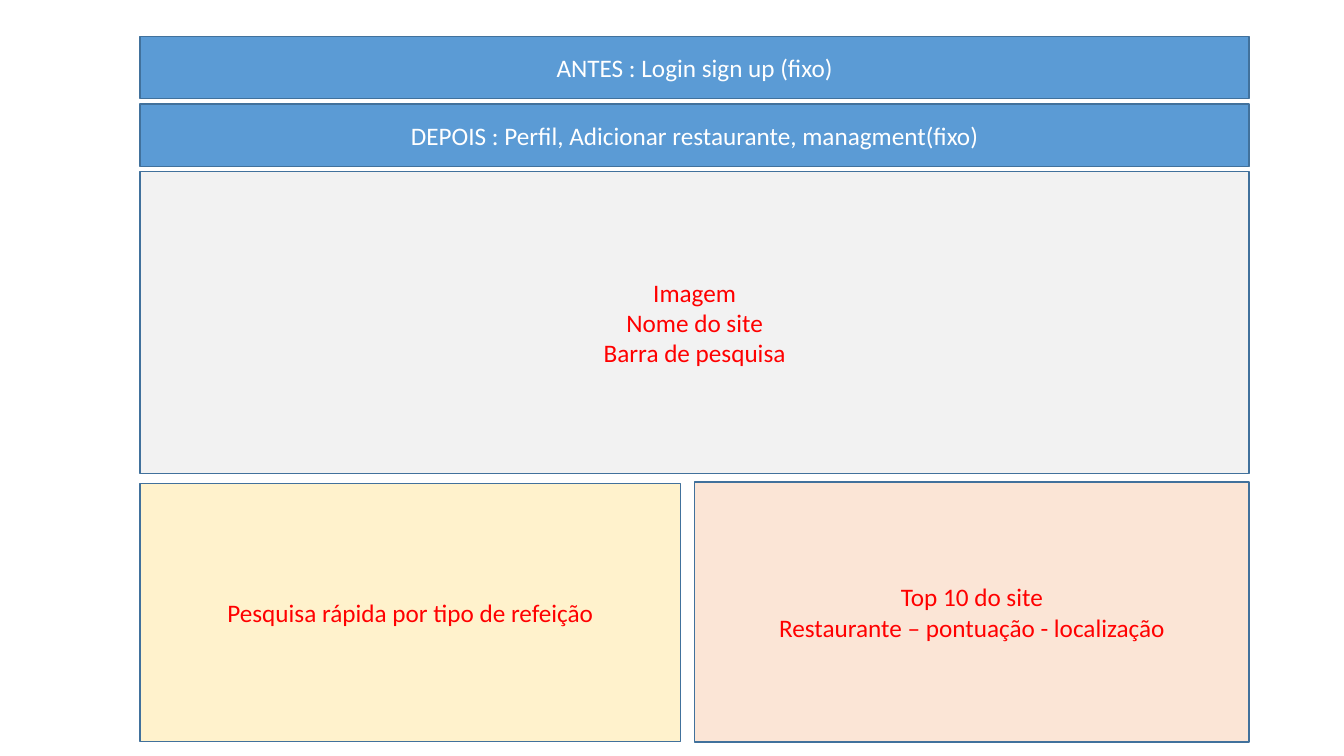
from pptx import Presentation
from pptx.dml.color import RGBColor
from pptx.enum.shapes import MSO_SHAPE as Preset
from pptx.enum.text import MSO_ANCHOR as Anchor, PP_ALIGN as Align
from pptx.util import Inches, Pt

# Grid: 11 columns and 7 rows of one inch, set in from the slide's corner
GRID_LEFT, GRID_TOP = 1.39, 0.36
COLUMNS, ROWS = 11, 7
GUTTER = 0.14
BAR_HEIGHT, BAR_STEP = 0.62, 0.67
HERO_HEIGHT = 3


def color(hex_value):
    return RGBColor.from_string(hex_value)


def write(frame, text, *, size=18, font="Calibri", ink="FF0000", align=Align.CENTER):
    """Fill a text frame, one paragraph per line of text."""
    frame.word_wrap = True
    frame.vertical_anchor = Anchor.MIDDLE
    frame.text = text
    for paragraph in frame.paragraphs:
        paragraph.alignment = align
        paragraph.font.size = Pt(size)
        paragraph.font.name = font
        paragraph.font.color.rgb = color(ink)


class Wireframe:
    """Page sketch: the shared style and the current slide."""

    border, border_width = "41719C", 1
    bar_fill, bar_ink = "5B9BD5", "FFFFFF"

    def __init__(self, slide):
        self.slide = slide

    def block(self, text, column, row, columns, rows, fill, **text_format):
        area = self.slide.shapes.add_shape(
            Preset.RECTANGLE, Inches(GRID_LEFT + column), Inches(GRID_TOP + row),
            Inches(columns), Inches(rows))
        area.shadow.inherit = False
        area.fill.solid()
        area.fill.fore_color.rgb = color(fill)
        area.line.color.rgb = color(self.border)
        area.line.width = Pt(self.border_width)
        write(area.text_frame, text, **text_format)

    def bar(self, text, position):
        self.block(text, 0, position * BAR_STEP, COLUMNS, BAR_HEIGHT,
                   self.bar_fill, ink=self.bar_ink)


def main():
    deck = Presentation()
    deck.slide_width, deck.slide_height = Inches(13.33), Inches(7.5)
    page = Wireframe(deck.slides.add_slide(deck.slide_layouts[6]))

    # Fixed navigation bars, before and after login
    navigation = ["ANTES : Login sign up (fixo)",
                  "DEPOIS : Perfil, Adicionar restaurante, managment(fixo)"]
    for position, label in enumerate(navigation):
        page.bar(label, position)

    # Main banner with the search bar
    page.block("Imagem\nNome do site\nBarra de pesquisa",
               0, len(navigation) * BAR_STEP, COLUMNS, HERO_HEIGHT, "F2F2F2")

    # Lower half: quick search and ranking, both ending on the last row
    half = COLUMNS / 2
    search_row, ranking_row = 4.44, 4.42
    page.block("Pesquisa rápida por tipo de refeição",
               0, search_row, half - GUTTER, ROWS - search_row, "FFF2CC")
    page.block("Top 10 do site\nRestaurante – pontuação - localização",
               half, ranking_row, half, ROWS - ranking_row, "FBE5D6")

    deck.save("out.pptx")


if __name__ == "__main__":
    main()
